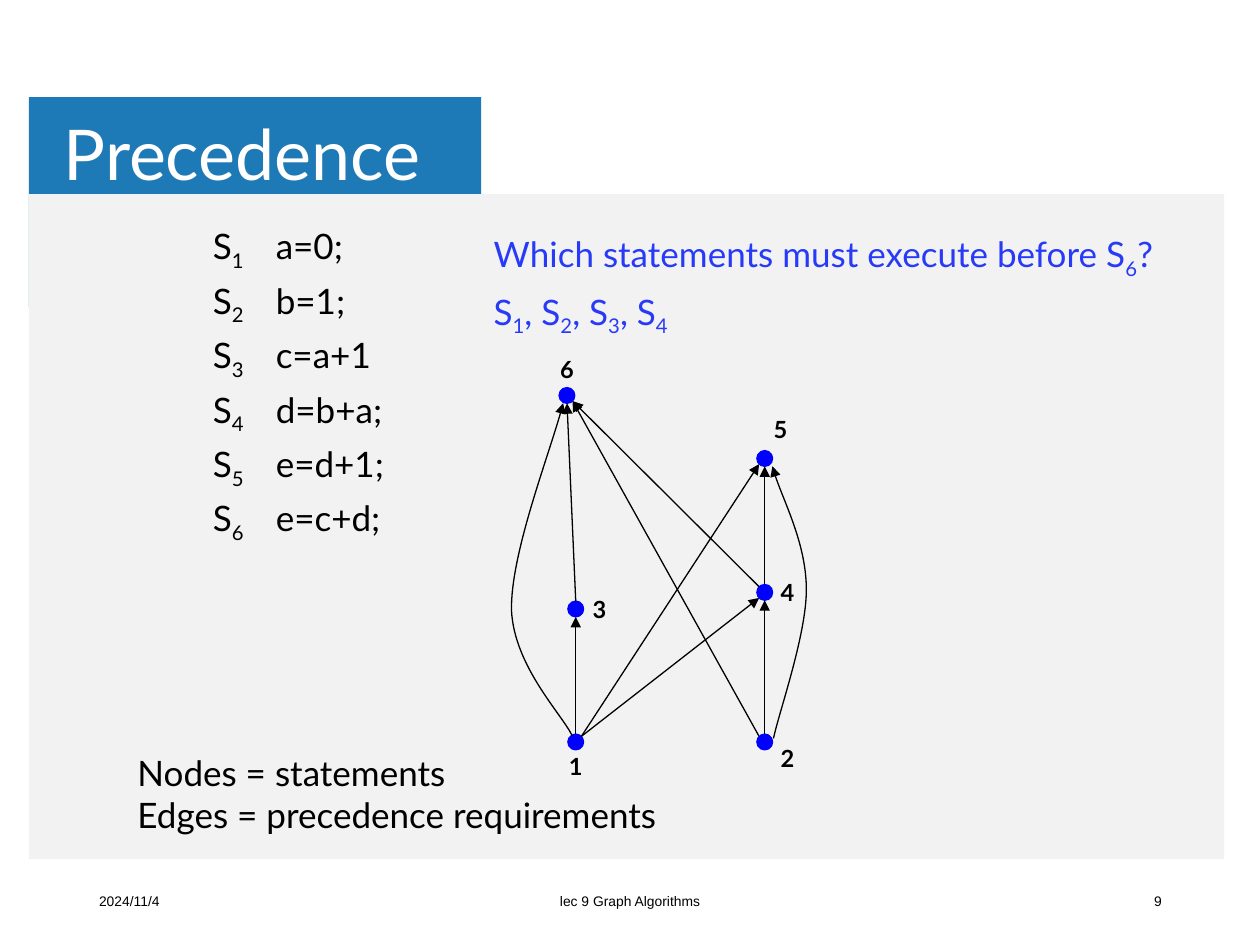
from lxml.etree import SubElement
from pptx import Presentation
from pptx.dml.color import RGBColor
from pptx.enum.shapes import MSO_CONNECTOR, MSO_SHAPE
from pptx.enum.text import MSO_ANCHOR as ANCHOR, MSO_AUTO_SIZE, PP_ALIGN as ALIGN
from pptx.oxml.ns import qn
from pptx.util import Pt

BLACK = RGBColor(0x00, 0x00, 0x00)
WHITE = RGBColor(0xFF, 0xFF, 0xFF)
BANNER = RGBColor(0x1E, 0x7A, 0xB6)
PANEL = RGBColor(0xF2, 0xF2, 0xF2)
NODE = RGBColor(0x00, 0x00, 0xFF)
QUESTION = RGBColor(0x26, 0x3A, 0xF8)

RADIUS = 4.5
# number: (centre x, centre y, label offset x, label offset y)
NODES = {
    1: (329, 424, 0, 14),
    2: (437, 424, 13, 9),
    3: (329, 348, 13.5, 0),
    4: (437, 338.5, 13, 0),
    5: (437, 262, 9, -17),
    6: (324, 226, 0, -15),
}
EDGES = [(1, 3), (3, 6), (1, 4), (1, 5), (2, 6), (4, 6), (4, 5), (2, 4)]
CURVES = [
    [(327, 420.5), (321, 408), (294, 381), (292.3, 349),
     (291.6, 317.5), (315.5, 255.5), (321.8, 230.4)],
    [(442, 422), (445, 407.5), (460.8, 363), (460.8, 337),
     (460.8, 311), (445, 281), (441.4, 266.4)],
]
STATEMENTS = ["a=0;", "b=1;", "c=a+1", "d=b+a;", "e=d+1;", "e=c+d;"]


class SlideBuilder:
    """Draws on one slide in a common style; lengths are in points."""
    font = "Lato"
    line_width = 0.75

    def __init__(self, prs):
        self.slide = prs.slides.add_slide(prs.slide_layouts[5])
        self.shapes = self.slide.shapes

    def format_runs(self, p, size, color, font=None, bold=False):
        for r in p.runs:
            r.font.size = Pt(size)
            r.font.name = font or self.font
            r.font.bold = bold
            r.font.color.rgb = color

    def title(self, text, x, y, w, h):
        sp = self.shapes.title
        self.shapes.element.append(sp.element)  # bring in front of the panels
        sp.left, sp.top, sp.width, sp.height = Pt(x), Pt(y), Pt(w), Pt(h)
        tf = sp.text_frame
        tf.text = text
        tf.auto_size = MSO_AUTO_SIZE.NONE
        tf.vertical_anchor = ANCHOR.MIDDLE
        tf.margin_left = tf.margin_right = Pt(5.4)
        tf.margin_top = tf.margin_bottom = Pt(2.7)
        p = tf.paragraphs[0]
        p.alignment = ALIGN.LEFT
        p.line_spacing = 0.9
        self.format_runs(p, 40, WHITE)

    def shape(self, kind, x, y, w, h, fill, outline=False):
        sp = self.shapes.add_shape(kind, Pt(x), Pt(y), Pt(w), Pt(h))
        sp.shadow.inherit = False
        sp.fill.solid()
        sp.fill.fore_color.rgb = fill
        if outline:
            sp.line.color.rgb = fill
            sp.line.width = Pt(self.line_width)
        else:
            sp.line.fill.background()

    def text(self, lines, x, y, w, h, size=20, color=BLACK, font=None, bold=False,
             align=ALIGN.LEFT, anchor=ANCHOR.MIDDLE, wrap=False, spacing=None, gap=0):
        """Add a text box; in a line, "_" lowers the character after it."""
        tf = self.shapes.add_textbox(Pt(x), Pt(y), Pt(w), Pt(h)).text_frame
        tf.word_wrap = wrap
        tf.vertical_anchor = anchor
        for i, line in enumerate(lines):
            p = tf.add_paragraph() if i else tf.paragraphs[0]
            p.alignment = align
            if spacing:
                p.line_spacing = spacing
            if i and gap:
                p.space_before = Pt(gap)
            first, *rest = line.split("_")
            p.text = first
            for part in rest:
                sub = p.add_run()
                sub.text = part[0]
                sub.font.element.set("baseline", "-25000") if hasattr(
                    sub.font, "element") else sub.font._element.set("baseline", "-25000")
                if part[1:]:
                    p.add_run().text = part[1:]
            self.format_runs(p, size, color, font, bold)

    def arrow_style(self, sp):
        sp.line.color.rgb = BLACK
        sp.line.width = Pt(self.line_width)
        ln = sp.element.spPr.find(qn("a:ln"))
        SubElement(ln, qn("a:tailEnd"), type="triangle")

    def arrow(self, x1, y1, x2, y2):
        sp = self.shapes.add_connector(
            MSO_CONNECTOR.STRAIGHT, Pt(x1), Pt(y1), Pt(x2), Pt(y2))
        self.arrow_style(sp)
        SubElement(sp.element.spPr, qn("a:effectLst"))

    def curved_arrow(self, points):
        """Draw cubic curves: a start point, then three points per curve."""
        start, *rest = [(Pt(x), Pt(y)) for x, y in points]
        builder = self.shapes.build_freeform(*start)
        builder.add_line_segments(rest, close=False)
        sp = builder.convert_to_shape()
        sp.shadow.inherit = False
        sp.fill.background()
        self.arrow_style(sp)
        path = next(sp.element.iter(qn("a:path")))
        segments = path.findall(qn("a:lnTo"))
        for i in range(0, len(segments), 3):
            curve = SubElement(path, qn("a:cubicBezTo"))
            for segment in segments[i:i + 3]:
                curve.append(segment[0])
                path.remove(segment)

    def node(self, number):
        x, y, dx, dy = NODES[number]
        self.shape(MSO_SHAPE.OVAL, x - RADIUS, y - RADIUS,
                   2 * RADIUS, 2 * RADIUS, NODE, outline=True)
        self.text([str(number)], x + dx - 11, y + dy - 12, 22, 24,
                  size=13.5, bold=True, align=ALIGN.CENTER)

    def edge(self, start, end):
        """Leave a node at its top and enter the next from below, or diagonally."""
        (x1, y1), (x2, y2) = NODES[start][:2], NODES[end][:2]
        dx, dy = 0, RADIUS
        if abs(x2 - x1) > 2 * RADIUS:
            dy = RADIUS * 0.71
            dx = dy if x2 > x1 else -dy
        self.arrow(x1 + dx, y1 - dy, x2 - dx, y2 + dy)


def main():
    prs = Presentation()
    prs.slide_width, prs.slide_height = Pt(720), Pt(540)
    s = SlideBuilder(prs)

    s.shape(MSO_SHAPE.RECTANGLE, 16.5, 55.5, 258.5, 120, BANNER)
    s.shape(MSO_SHAPE.RECTANGLE, 16.5, 111, 683, 380, PANEL)
    s.title("Precedence", 31, 54.7, 578, 70.5)

    footers = [("2024/11/4", 49.5, 162, ALIGN.LEFT),
               ("lec 9 Graph Algorithms", 238.5, 243, ALIGN.CENTER),
               ("9", 509, 162, ALIGN.RIGHT)]
    for text, x, w, align in footers:
        s.text([text], x, 500.5, w, 28.8, size=7.9, font="Arial", align=align, wrap=True)

    s.text([f"S_{i}\t{code}" for i, code in enumerate(STATEMENTS, 1)],
           114.5, 136, 154, 169, spacing=0.7, gap=12)

    for number in NODES:
        s.node(number)
    for start, end in EDGES:
        s.edge(start, end)
    for points in CURVES:
        s.curved_arrow(points)

    s.text(["Which statements must execute before S_6?", "S_1, S_2, S_3, S_4"],
           275, 127.5, 408, 65.5, color=QUESTION, wrap=True, spacing=1.2)
    s.text(["Nodes = statements", "Edges = precedence requirements"],
           71.5, 426, 332, 55.5, anchor=ANCHOR.TOP)

    prs.save("out.pptx")


if __name__ == "__main__":
    main()
